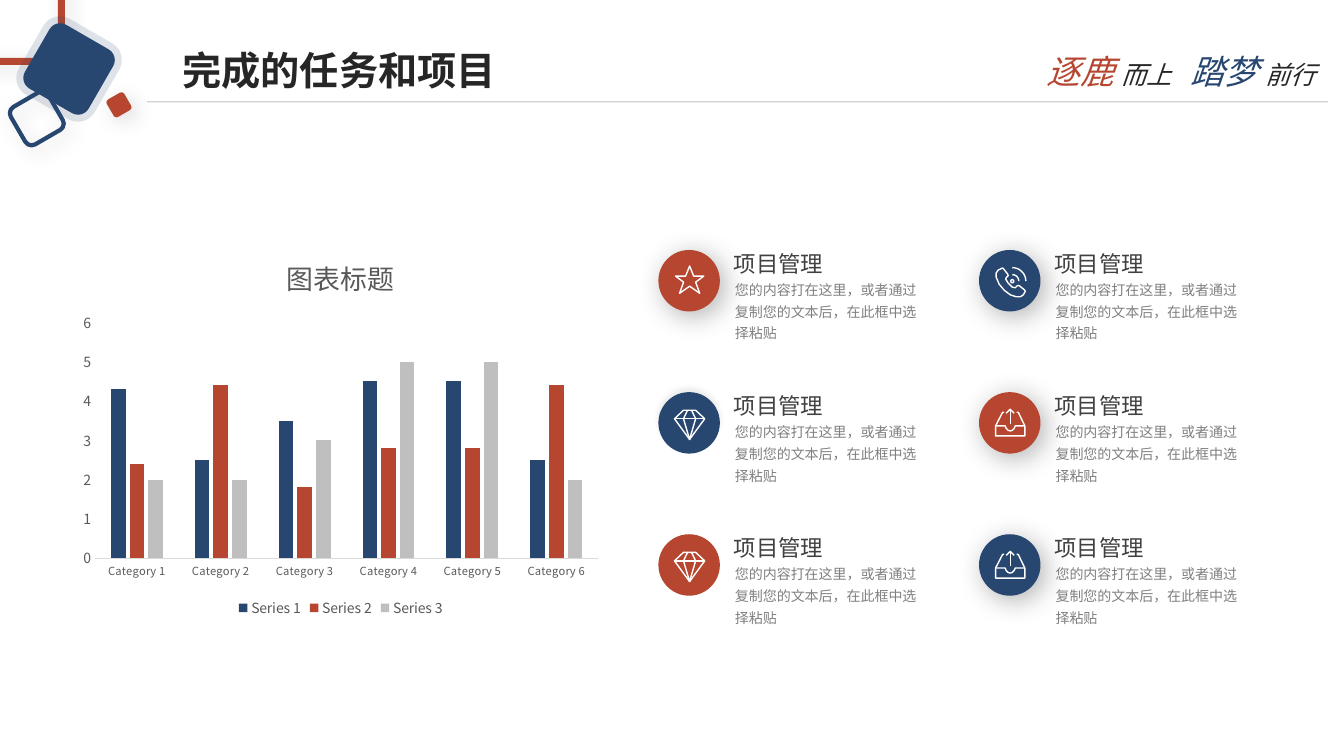
"""Build the completed tasks and projects slide: chart on the left, six topics on the right."""
from math import cos, radians, sin

from lxml.etree import SubElement
from pptx import Presentation
from pptx.chart.data import CategoryChartData
from pptx.dml.color import RGBColor
from pptx.enum.chart import XL_CHART_TYPE as ChartType, XL_LEGEND_POSITION as LegendPos
from pptx.enum.chart import XL_TICK_MARK as Tick
from pptx.enum.shapes import MSO_CONNECTOR as Connector, MSO_SHAPE as Shape
from pptx.enum.text import MSO_ANCHOR as Anchor, MSO_AUTO_SIZE as AutoSize, PP_ALIGN as Align
from pptx.oxml.ns import qn
from pptx.util import Inches, Pt

FONT = "Noto Sans CJK SC"
THEME = {
    "color": {name: RGBColor.from_string(value) for name, value in {
        "navy": "274670", "red": "B64630", "silver": "BFBFBF", "ink": "262626",
        "heading": "404040", "detail": "808080", "label": "595959",
        "axis": "D9D9D9", "white": "FFFFFF"}.items()},
    "size": {"title": 28, "motto": 24, "motto_small": 18, "chart_title": 19.2,
             "heading": 16, "detail": 10, "axis": 10, "category": 8},
}
COLOR = THEME["color"]


def style(font, size, color, **extras):
    formats = {"size": Pt(THEME["size"][size]), "name": FONT, **extras}
    for attribute, value in formats.items():
        setattr(font, attribute, value)
    font.color.rgb = COLOR[color]
    SubElement(font._rPr, qn("a:ea"), typeface=FONT)


def cast_shadow(shape, opacity=0, blur=0, distance=0, angle=0):
    effects = SubElement(shape._element.spPr, qn("a:effectLst"))
    if opacity:
        outer = SubElement(effects, qn("a:outerShdw"), blurRad=str(Pt(blur)), dist=str(Pt(distance)),
                           dir=str(angle * 60000), algn="ctr", rotWithShape="0")
        black = SubElement(outer, qn("a:srgbClr"), val="000000")
        SubElement(black, qn("a:alpha"), val=str(opacity * 1000))


deck = Presentation()
deck.slide_width, deck.slide_height = Inches(13.33), Inches(7.5)
slide = deck.slides.add_slide(deck.slide_layouts[5])
shapes = slide.shapes

rule = shapes.add_connector(Connector.STRAIGHT, Inches(1.46), Inches(1.01), Inches(13.17), Inches(1.01))
rule.line.color.rgb, rule.line.width = COLOR["silver"], Pt(1)
cast_shadow(rule, 15, 5, 2, 45)

ornaments = [
    (-0.36, 0.97, 0, None, "red", 5, (15, 15, 5, 45)),
    (0.15, 0.43, 60, None, "navy", 3, (15, 15, 5, 45)),
    (0.32, 0.73, 30, "navy", "navy", 10, ()),
    (1.08, 0.2, 60, "red", None, 0, (15, 15, 5, 45)),
]
ornament_tops = [-0.36, 0.96, 0.32, 0.94]
translucent = [(rule, 70)]
for (left, side, turn, fill, edge, weight, shade), top in zip(ornaments, ornament_tops):
    tile = shapes.add_shape(Shape.ROUNDED_RECTANGLE, Inches(left), Inches(top), Inches(side), Inches(side))
    tile.rotation = turn
    if fill:
        tile.fill.solid()
        tile.fill.fore_color.rgb = COLOR[fill]
    else:
        tile.fill.background()
    if edge:
        tile.line.color.rgb, tile.line.width = COLOR[edge], Pt(weight)
    else:
        tile.line.fill.background()
    cast_shadow(tile, *shade)
    if fill and edge:
        translucent.append((tile, 15))
for shape, opacity in translucent:
    edge_color = shape._element.spPr.find(qn("a:ln")).find(".//" + qn("a:srgbClr"))
    SubElement(edge_color, qn("a:alpha"), val=str(opacity * 1000))

motto = shapes.add_textbox(Inches(10.14), Inches(0.46), Inches(3.15), Inches(0.5))
motto.text_frame.word_wrap = True
motto_line = motto.text_frame.paragraphs[0]
motto_line.alignment = Align.CENTER
for words, size, color in [("逐鹿 ", "motto", "red"), ("而上", "motto_small", "ink"), (" ", "motto", "ink"),
                           ("踏梦 ", "motto", "navy"), ("前行", "motto_small", "ink")]:
    run = motto_line.add_run()
    run.text = words
    style(run.font, size, color, italic=True)
    if words == " ":
        run.font._rPr.set("spc", "800")

title = shapes.title
title_box = {"left": 1.71, "top": 0.32, "width": 3.35, "height": 0.75}
for attribute, value in title_box.items():
    setattr(title, attribute, Inches(value))
title.text = "完成的任务和项目"
title_frame = {"vertical_anchor": Anchor.MIDDLE, "auto_size": AutoSize.NONE, "word_wrap": True,
               "margin_left": Inches(0.1), "margin_right": Inches(0.1),
               "margin_top": Inches(0.05), "margin_bottom": Inches(0.05)}
for attribute, value in title_frame.items():
    setattr(title.text_frame, attribute, value)
title.text_frame.paragraphs[0].alignment = Align.LEFT
style(title.text_frame.paragraphs[0].runs[0].font, "title", "ink", bold=True)

sound_waves = [[(33 + radius * sin(radians(angle)), 31 - radius * cos(radians(angle)))
                for angle in range(0, sweep + 1, 10)]
               for radius, sweep in [(1.5, 360), (6.5, 90), (13.5, 90)]]
ICONS = {
    "star": [[(31, 16), (35, 26), (45, 26), (37, 32), (41, 43), (31, 36),
              (21, 43), (25, 32), (17, 26), (27, 26), (31, 16)]],
    "phone": [[(23, 18), (19, 20), (17, 23), (17, 27), (20, 34), (25, 40), (31, 44.5), (37, 46.5),
               (41, 46.5), (44, 44.5), (46, 41), (45, 39.5), (40, 35.5), (38, 35.5), (36, 37.5),
               (33, 37), (29, 33), (26.5, 29), (27, 27.5), (29, 25.5), (28.5, 24), (24, 18.3), (23, 18)],
              *sound_waves],
    "gem": [[(25, 18), (37, 18), (46, 26.5), (31, 47), (16, 26.5), (25, 18)],
            [(16, 26.5), (46, 26.5)],
            [(29, 18), (25, 26.5), (31, 47), (37, 26.5), (33, 18)]],
    "tray": [[(25, 20), (23.5, 20), (16.5, 33.5), (16.5, 43.5), (45.5, 43.5), (45.5, 33.5), (39, 20), (37.5, 20)],
             [(16.5, 33.5), (26, 33.5), (27, 36), (29, 38), (31, 38.5), (33, 38), (35, 36), (36, 33.5), (45.5, 33.5)],
             [(31, 32), (31, 17)],
             [(27, 21), (31, 17), (35, 21)]],
}
SOFT = (30, 20, 5, 45)
topics = [("star", "red", SOFT), ("phone", "navy", SOFT),
          ("gem", "navy", (7, 4, 3, 270)), ("tray", "red", SOFT),
          ("gem", "red", ()), ("tray", "navy", SOFT)]
detail_frame = {"word_wrap": True, "margin_left": Inches(0.12), "margin_right": Inches(0.12),
                "margin_top": Inches(0.06), "margin_bottom": Inches(0.06)}
heading_frame = {"word_wrap": False, "vertical_anchor": Anchor.MIDDLE}
topic_texts = [
    ("您的内容打在这里，或者通过复制您的文本后，在此框中选择粘贴", "detail", 0.64, 0.2, 2.14, 0.78, detail_frame),
    ("项目管理", "heading", 0.65, -0.12, 1.1, 0.42, heading_frame),
]
for index, (icon, color, shade) in enumerate(topics):
    row, column = divmod(index, 2)
    left, top = 6.53 + 3.18 * column, 2.48 + 1.41 * row
    disc = shapes.add_shape(Shape.OVAL, Inches(left), Inches(top), Inches(0.61), Inches(0.61))
    disc.fill.solid()
    disc.fill.fore_color.rgb = COLOR[color]
    disc.line.fill.background()
    cast_shadow(disc, *shade)

    strokes = [[(x * 10, y * 10) for x, y in stroke] for stroke in ICONS[icon]]
    pen = shapes.build_freeform(*strokes[0][0], scale=Inches(0.001))
    for stroke in strokes:
        pen.move_to(*stroke[0])
        pen.add_line_segments(stroke[1:], close=stroke[0] == stroke[-1])
    symbol = pen.convert_to_shape(Inches(left), Inches(top))
    symbol.fill.background()
    symbol.line.color.rgb, symbol.line.width = COLOR["white"], Pt(1)
    cast_shadow(symbol)

    for words, role, dx, dy, width, height, frame_format in topic_texts:
        box = shapes.add_textbox(Inches(left + dx), Inches(top + dy), Inches(width), Inches(height))
        for attribute, value in {**frame_format, "auto_size": AutoSize.SHAPE_TO_FIT_TEXT}.items():
            setattr(box.text_frame, attribute, value)
        line = box.text_frame.paragraphs[0]
        line.line_spacing = 1.3
        run = line.add_run()
        run.text = words
        style(run.font, role, role)

results = CategoryChartData()
results.categories = [f"Category {number}" for number in range(1, 7)]
series_colors = ["navy", "red", "silver"]
for number, values in enumerate([(4.3, 2.5, 3.5, 4.5, 4.5, 2.5), (2.4, 4.4, 1.8, 2.8, 2.8, 4.4),
                                 (2, 2, 3, 5, 5, 2)], 1):
    results.add_series(f"Series {number}", values)
chart = shapes.add_chart(ChartType.COLUMN_CLUSTERED, Inches(0.72), Inches(2.35),
                         Inches(5.32), Inches(3.82), results).chart
style(chart.font, "axis", "label")
chart.has_title = True
chart_heading = chart.chart_title.text_frame.paragraphs[0].add_run()
chart_heading.text = "图表标题"
style(chart_heading.font, "chart_title", "label", bold=False)
chart.has_legend = True
chart.legend.position, chart.legend.include_in_layout = LegendPos.BOTTOM, False
style(chart.legend.font, "axis", "label")

columns = chart.plots[0]
for attribute, value in {"gap_width": 219, "overlap": -27, "vary_by_categories": False}.items():
    setattr(columns, attribute, value)
for series, color in zip(columns.series, series_colors):
    series.format.fill.solid()
    series.format.fill.fore_color.rgb = COLOR[color]
axis_format = {"major_tick_mark": Tick.NONE, "minor_tick_mark": Tick.NONE, "has_major_gridlines": False}
value_format = {**axis_format, "minimum_scale": 0, "maximum_scale": 6, "major_unit": 1}
for axis, size, formats in [(chart.category_axis, "category", axis_format), (chart.value_axis, "axis", value_format)]:
    for attribute, value in formats.items():
        setattr(axis, attribute, value)
    style(axis.tick_labels.font, size, "label")
chart.category_axis.format.line.color.rgb = COLOR["axis"]
chart.category_axis.format.line.width = Pt(0.75)
chart.value_axis.format.line.fill.background()

deck.save("out.pptx")
